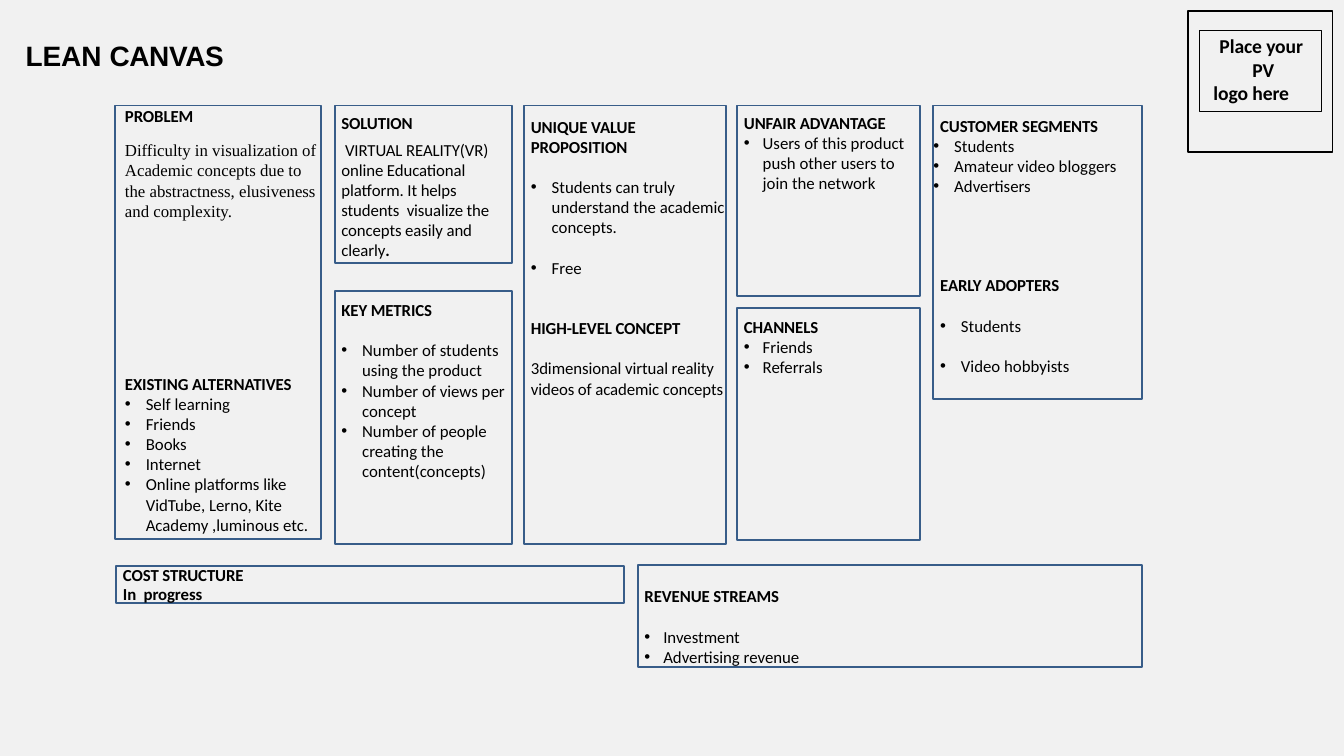
from dataclasses import dataclass
from typing import NamedTuple

from lxml import etree
from pptx import Presentation, util as u
from pptx.dml.color import RGBColor
from pptx.enum import shapes, text
from pptx.oxml.ns import qn

COLOURS = {"paper": "F1F1F1", "ink": "000000", "border": "385D89"}
COLUMNS = [(1.71, 3.07), (4.98, 2.64), (7.8, 3.01), (10.97, 2.72), (13.89, 3.11)]
TOP = 1.57
BLANK_LINE = 21.6


class Span(NamedTuple):
    words: str
    bold: bool = False
    tracking: float = 0


@dataclass
class Line:
    spans: list[Span]
    before: float = 0
    left: float = 0.1
    hang: float = 0
    right: float = 0
    font: str = "Calibri"
    size: float = 18
    spacing: float | None = None
    centred: bool = False


@dataclass
class Panel:
    left: float
    top: float
    width: float
    height: float
    lines: list[Line]
    inset: float = 0
    border: str | None = "border"
    weight: float = 2.04
    fill: str | None = "paper"


def colour(name: str) -> RGBColor:
    return RGBColor.from_string(COLOURS[name])


def heading(words: str, **form) -> Line:
    return Line([Span(words, True, -0.1)], **form)


def body(words: str, **form) -> Line:
    return Line([Span(words)], **form)


def bullets(*items: str, left: float = 0.41, hang: float = 0.31,
            before: float = 0, gap: float = 0) -> list[Line]:
    return [body(item, left=left, hang=hang, before=gap if index else before)
            for index, item in enumerate(items)]


def write_line(para, line: Line) -> None:
    para.alignment = text.PP_ALIGN.CENTER if line.centred else text.PP_ALIGN.LEFT
    para.space_before = u.Pt(line.before)
    if line.spacing:
        para.line_spacing = u.Pt(line.spacing)
    settings = para._p.get_or_add_pPr()
    for key, inches in (("marL", line.left), ("marR", line.right), ("indent", -line.hang)):
        settings.set(key, str(int(u.Inches(inches))))
    if line.hang:
        etree.SubElement(settings, qn("a:buFont")).set("typeface", "Arial")
        etree.SubElement(settings, qn("a:buChar")).set("char", "•")
    for span in line.spans:
        run = para.add_run()
        run.text = span.words
        run.font.name, run.font.size, run.font.bold = line.font, u.Pt(line.size), span.bold
        run.font.color.rgb = colour("ink")
        if span.tracking:
            run._r.get_or_add_rPr().set("spc", str(round(span.tracking * 100)))


def draw_panel(page, panel: Panel) -> None:
    place = [u.Inches(n) for n in (panel.left, panel.top, panel.width, panel.height)]
    if panel.border:
        box = page.shapes.add_shape(shapes.MSO_SHAPE.RECTANGLE, *place)
        box.shadow.inherit = False
        box.line.color.rgb = colour(panel.border)
        box.line.width = u.Pt(panel.weight)
    else:
        box = page.shapes.add_textbox(*place)
    if panel.fill:
        box.fill.solid()
        box.fill.fore_color.rgb = colour(panel.fill)
    else:
        box.fill.background()
    frame = box.text_frame
    frame.word_wrap = True
    frame.vertical_anchor = text.MSO_ANCHOR.TOP
    frame.margin_left = frame.margin_right = frame.margin_bottom = 0
    frame.margin_top = u.Inches(panel.inset)
    for index, line in enumerate(panel.lines):
        write_line(frame.add_paragraph() if index else frame.paragraphs[0], line)


def column_panel(column: int, height: float, lines: list[Line],
                 top: float = TOP, inset: float = 0) -> Panel:
    left, width = COLUMNS[column]
    return Panel(left, top, width, height, lines, inset)


PANELS = [
    column_panel(0, 6.45, [
        heading("PROBLEM", left=0.15),
        body("Difficulty in visualization of  Academic concepts due to the abstractness, "
             "elusiveness and complexity.", left=0.15, before=15.4, font="Times New Roman"),
        heading("EXISTING ALTERNATIVES", left=0.15, before=163.5),
        *bullets("Self learning", "Friends", "Books", "Internet",
                 "Online platforms like  VidTube, Lerno, Kite Academy ,luminous etc.", left=0.46),
    ]),
    column_panel(1, 3.76, [
        heading("KEY METRICS"),
        *bullets("Number of students using the product", "Number of views per concept",
                 "Number of people creating the content(concepts)", before=BLANK_LINE),
    ], top=4.33, inset=0.13),
    column_panel(1, 2.34, [
        heading("SOLUTION"),
        Line([Span(" VIRTUAL REALITY(VR) online Educational platform. It helps students  "
                   "visualize the concepts easily and clearly", tracking=-0.1),
              Span(".", True)], before=7.5),
    ], inset=0.1),
    column_panel(2, 6.52, [
        heading("UNIQUE VALUE"),
        heading("PROPOSITION"),
        *bullets("Students can truly understand the academic concepts.", "Free",
                 before=BLANK_LINE, gap=BLANK_LINE),
        heading("HIGH-LEVEL CONCEPT", before=2 * BLANK_LINE),
        Line([Span("3dimensional virtual reality videos of academic concepts", tracking=-0.1)],
             before=BLANK_LINE),
    ], inset=0.16),
    column_panel(3, 2.83, [
        heading("UNFAIR ADVANTAGE"),
        *bullets("Users of this product push other users to join the network", left=0.38, hang=0.28),
    ], inset=0.1),
    column_panel(3, 3.46, [
        heading("CHANNELS"),
        *bullets("Friends", "Referrals", left=0.38, hang=0.28),
    ], top=4.58, inset=0.13),
    Panel(9.49, 8.41, 7.51, 1.52, [
        heading("REVENUE STREAMS"),
        *bullets("Investment", "Advertising revenue", left=0.38, hang=0.28, before=BLANK_LINE),
    ], inset=0.31),
    column_panel(4, 4.37, [
        heading("CUSTOMER SEGMENTS"),
        *bullets("Students", "Amateur video bloggers", "Advertisers", left=0.31),
        heading("EARLY ADOPTERS", before=84.5),
        *bullets("Students", "Video hobbyists", before=BLANK_LINE, gap=BLANK_LINE),
    ], inset=0.15),
    Panel(1.73, 8.42, 7.55, 0.56, [
        heading("COST STRUCTURE", spacing=20.4),
        heading("In  progress", spacing=20.4),
    ]),
    Panel(0.37, 0.56, 3.01, 0.53, [
        Line([Span("LEAN ", True), Span("CANVAS", True, -0.4)], left=0.01, font="Arial", size=30),
    ], inset=0.01, border=None, fill=None),
    Panel(17.68, 0.17, 2.15, 2.09, [], border="ink", fill=None),
    Panel(17.85, 0.45, 1.81, 1.21, [
        heading("Place your  PV", left=0.27, right=0.18, size=21, centred=True),
        heading("logo here", left=0, right=0.27, size=21, centred=True),
    ], inset=0.06, border="ink", weight=0.72),
]


def build() -> None:
    """Draw the lean canvas slide and save it."""
    deck = Presentation()
    deck.slide_width, deck.slide_height = u.Inches(20), u.Inches(11.25)
    page = deck.slides.add_slide(deck.slide_layouts[6])
    page.background.fill.solid()
    page.background.fill.fore_color.rgb = colour("paper")
    for panel in PANELS:
        draw_panel(page, panel)
    deck.save("out.pptx")


build()
